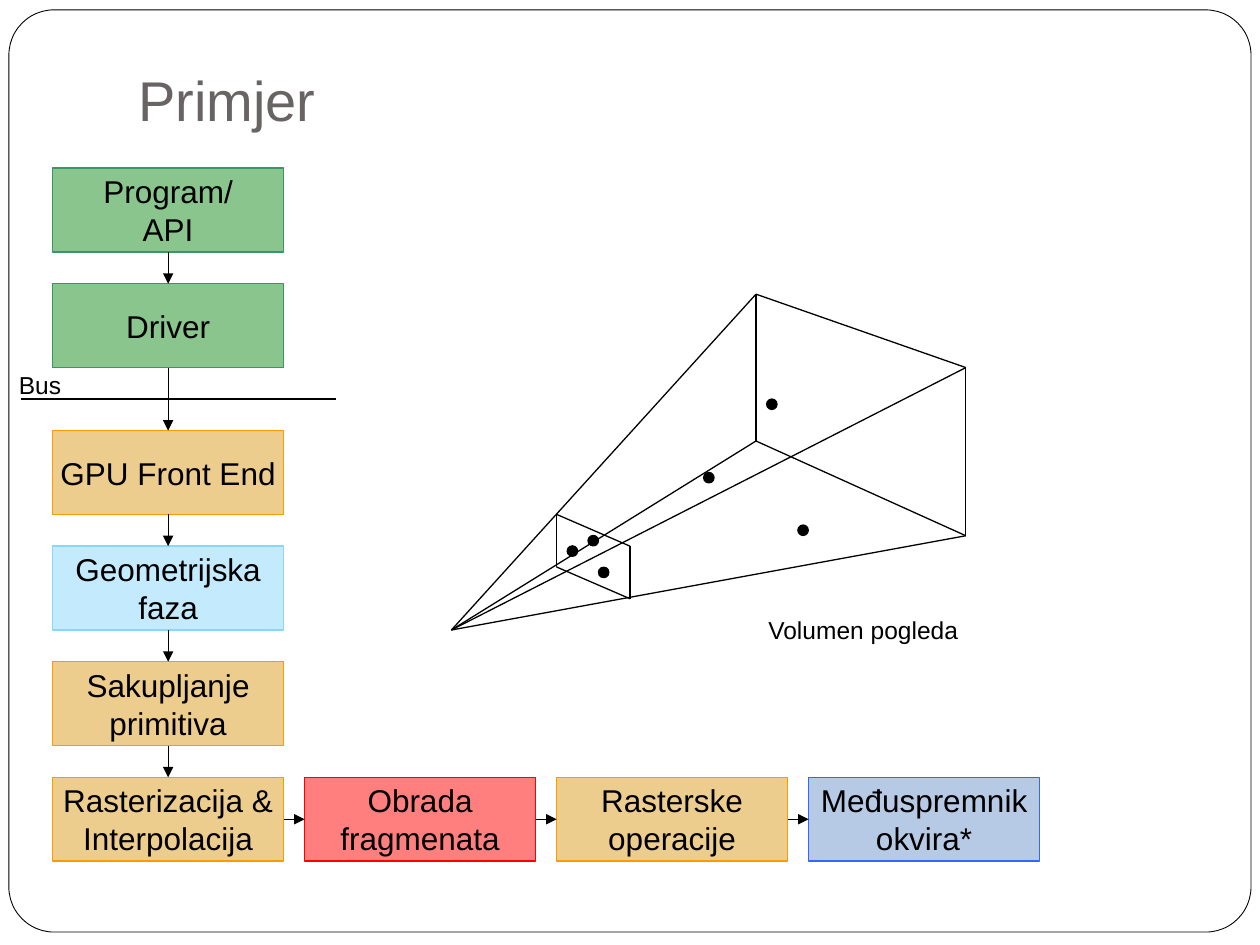
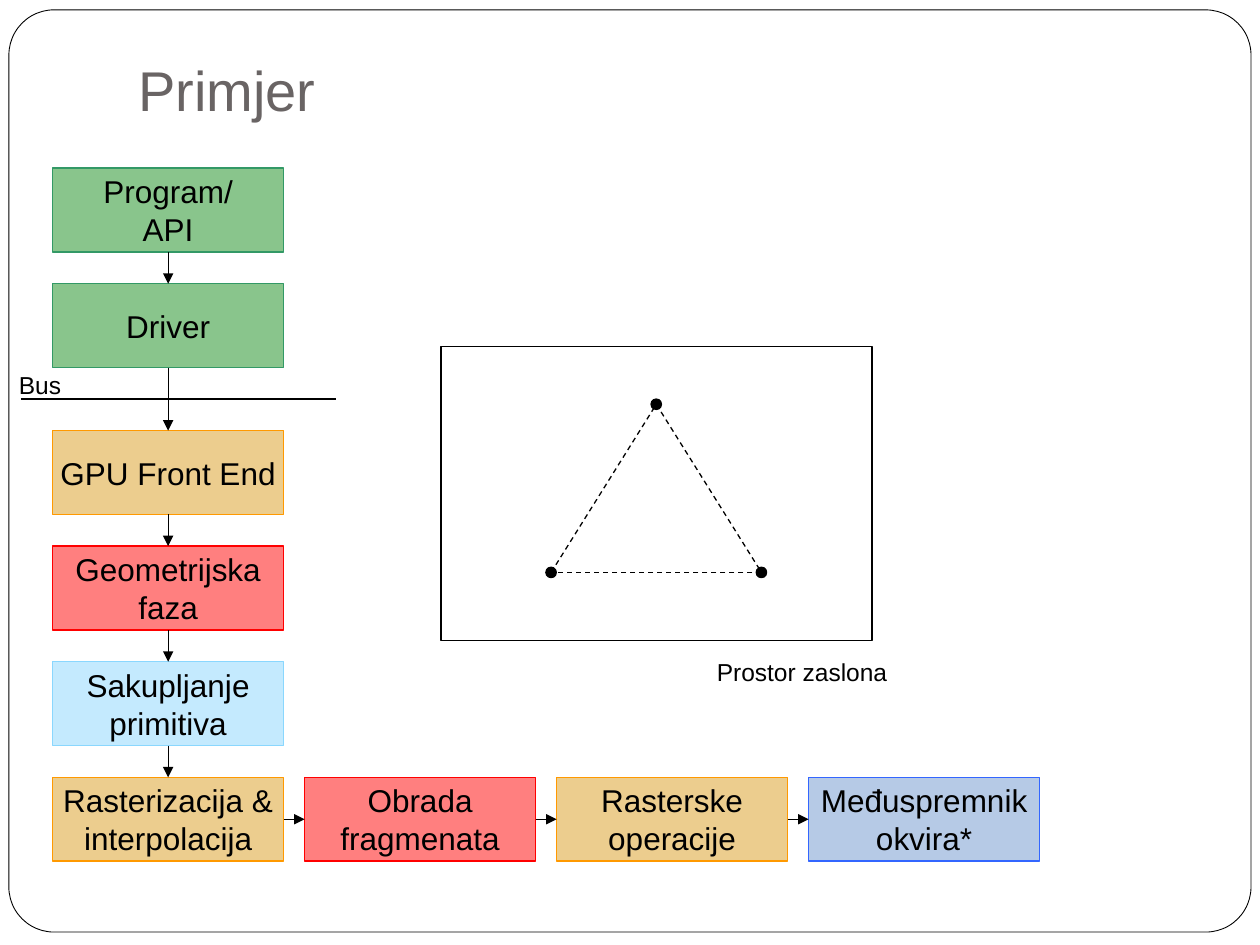
from itertools import pairwise

from lxml import etree
from pptx import Presentation
from pptx.dml.color import RGBColor
from pptx.enum.dml import MSO_LINE
from pptx.enum.shapes import MSO_CONNECTOR, MSO_SHAPE
from pptx.enum.text import MSO_ANCHOR, PP_ALIGN
from pptx.oxml.ns import qn
from pptx.util import Cm, Pt

FONT = "Arial"
COLORS = {"ink": "000000", "paper": "FFFFFF", "title": "696464"}
# Stage roles: fill (half transparent) and outline
ROLES = {
    "software": ("158D1B", "339966"),
    "fixed": ("DB9C1F", "FF9900"),
    "programmable": ("FF0000", "FF0000"),
    "current": ("8AD7FE", "8AD7FE"),
    "memory": ("6F96CF", "3366FF"),
}
TITLE = "Primjer"
BUS = "Bus"


def pipeline(geometry_role, assembly_role, interpolation):
    """Return the stages of the column and of the row that continues it."""
    column = [
        (["Program/", "API"], "software"),
        (["Driver"], "software"),
        (["GPU Front End"], "fixed"),
        (["Geometrijska", "faza"], geometry_role),
        (["Sakupljanje", "primitiva"], assembly_role),
        (["Rasterizacija &", interpolation], "fixed"),
    ]
    row = [
        (["Obrada", "fragmenata"], "programmable"),
        (["Rasterske", "operacije"], "fixed"),
        (["Međuspremnik", "okvira*"], "memory"),
    ]
    return column, row


# All lengths are in centimetres
STAGE_W, STAGE_H = 4.66, 1.69
COLUMN_LEFT, COLUMN_TOP = 1.06, 3.39
COLUMN_GAP, BUS_GAP, ROW_GAP = 0.64, 1.27, 0.42
DRIVER = 1  # the bus runs below this stage
DOT = 0.21

EYE = (9.1, 12.7)
FAR_PLANE = [(15.24, 5.93), (19.47, 7.41), (19.47, 10.8), (15.24, 8.89)]
NEAR_PLANE = [(11.22, 10.37), (12.7, 11.01), (12.7, 12.07), (11.22, 11.43)]
VERTICES = [(15.56, 8.15), (14.29, 9.63), (16.19, 10.69)]
PROJECTED = [(11.96, 10.9), (11.54, 11.11), (12.17, 11.54)]

SCREEN = (8.89, 6.99, 8.69, 5.93)
TRIANGLE = [(13.23, 8.15), (15.35, 11.54), (11.11, 11.54)]


def rgb(color):
    return RGBColor.from_string(color)


def add_box(slide, kind, box, fill=None, line=COLORS["ink"], width=0.75):
    shape = slide.shapes.add_shape(kind, *map(Cm, box))
    shape.shadow.inherit = False
    if fill:
        shape.fill.solid()
        shape.fill.fore_color.rgb = rgb(fill)
    else:
        shape.fill.background()
    shape.line.color.rgb = rgb(line)
    shape.line.width = Pt(width)
    return shape


def add_line(slide, start=(0, 0), end=(0, 0)):
    line = slide.shapes.add_connector(MSO_CONNECTOR.STRAIGHT, *map(Cm, start + end))
    line.line.color.rgb = rgb(COLORS["ink"])
    line.line.width = Pt(0.75)
    etree.SubElement(line._element.spPr, qn("a:effectLst"))
    return line


def add_arrow(slide, source, target, exit_site, entry_site):
    arrow = add_line(slide)
    arrow.begin_connect(source, exit_site)
    arrow.end_connect(target, entry_site)
    etree.SubElement(arrow.line._get_or_add_ln(), qn("a:tailEnd"), type="triangle")


def add_outline(slide, corners, dashed=False):
    for start, end in pairwise(corners + corners[:1]):
        edge = add_line(slide, start, end)
        if dashed:
            edge.line.dash_style = MSO_LINE.DASH


def add_dots(slide, centres):
    for x, y in centres:
        add_box(slide, MSO_SHAPE.OVAL, (x - DOT / 2, y - DOT / 2, DOT, DOT), COLORS["ink"])


def write(frame, lines, size, color=COLORS["ink"], align=PP_ALIGN.LEFT):
    for number, line in enumerate(lines):
        paragraph = frame.add_paragraph() if number else frame.paragraphs[0]
        paragraph.text = line
        paragraph.alignment = align
        paragraph.font.name = FONT
        paragraph.font.size = Pt(size)
        paragraph.font.color.rgb = rgb(color)


def add_label(slide, text, box):
    frame = slide.shapes.add_textbox(*map(Cm, box)).text_frame
    frame.word_wrap = True
    frame.margin_right = 0
    write(frame, [text], 14)


def add_title(slide, height):
    frame = slide.shapes.add_textbox(Cm(2.54), Cm(0.76), Cm(21.59), Cm(height)).text_frame
    frame.word_wrap = True
    frame.vertical_anchor = MSO_ANCHOR.BOTTOM
    frame.margin_bottom = Cm(0.25)
    write(frame, [TITLE], 32, COLORS["title"])


def add_stage(slide, left, top, lines, role):
    fill, outline = ROLES[role]
    stage = add_box(slide, MSO_SHAPE.RECTANGLE, (left, top, STAGE_W, STAGE_H), fill, outline)
    color = stage._element.spPr.find(qn("a:solidFill"))[0]
    etree.SubElement(color, qn("a:alpha"), val="50000")
    stage.text_frame.word_wrap = False
    stage.text_frame.vertical_anchor = MSO_ANCHOR.MIDDLE
    write(stage.text_frame, lines, 18, align=PP_ALIGN.CENTER)
    return stage


def add_pipeline(slide, column, row):
    down, across = [], []
    top = COLUMN_TOP
    for number, (lines, role) in enumerate(column):
        down.append(add_stage(slide, COLUMN_LEFT, top, lines, role))
        bottom = top + STAGE_H
        if number == DRIVER:
            bus_y = bottom + BUS_GAP / 2
            add_line(slide, (0.42, bus_y), (6.77, bus_y))
            add_label(slide, BUS, (0.13, bus_y - 0.71, 1.4, 0.86))
        top = bottom + (BUS_GAP if number == DRIVER else COLUMN_GAP)
    row_top = bottom - STAGE_H
    for number, (lines, role) in enumerate(row, 1):
        left = COLUMN_LEFT + number * (STAGE_W + ROW_GAP)
        across.append(add_stage(slide, left, row_top, lines, role))
    for source, target in pairwise(down):
        add_arrow(slide, source, target, 2, 0)
    for source, target in pairwise(down[-1:] + across):
        add_arrow(slide, source, target, 3, 1)


def add_example(deck, title_height, stages):
    slide = deck.slides.add_slide(deck.slide_layouts[6])
    frame = add_box(slide, MSO_SHAPE.ROUNDED_RECTANGLE, (0.18, 0.2, 25.04, 18.59),
                    COLORS["paper"], width=0.5)
    frame.adjustments[0] = 0.049
    add_title(slide, title_height)
    add_pipeline(slide, *stages)
    return slide


def add_view_volume(slide):
    for corner in FAR_PLANE:
        add_line(slide, EYE, corner)
    add_outline(slide, FAR_PLANE)
    add_outline(slide, NEAR_PLANE)
    add_dots(slide, VERTICES + PROJECTED)
    add_label(slide, "Volumen pogleda", (15.24, 12.27, 4.4, 0.86))


def add_screen_space(slide):
    add_box(slide, MSO_SHAPE.RECTANGLE, SCREEN)
    add_dots(slide, TRIANGLE)
    add_outline(slide, TRIANGLE, dashed=True)
    add_label(slide, "Prostor zaslona", (14.2, 13.13, 4, 0.86))


def main():
    deck = Presentation()
    deck.slide_width, deck.slide_height = Cm(25.4), Cm(19.05)
    add_view_volume(add_example(deck, 2.16, pipeline("current", "fixed", "Interpolacija")))
    add_screen_space(add_example(deck, 1.96, pipeline("programmable", "current", "interpolacija")))
    deck.save("out.pptx")


if __name__ == "__main__":
    main()
